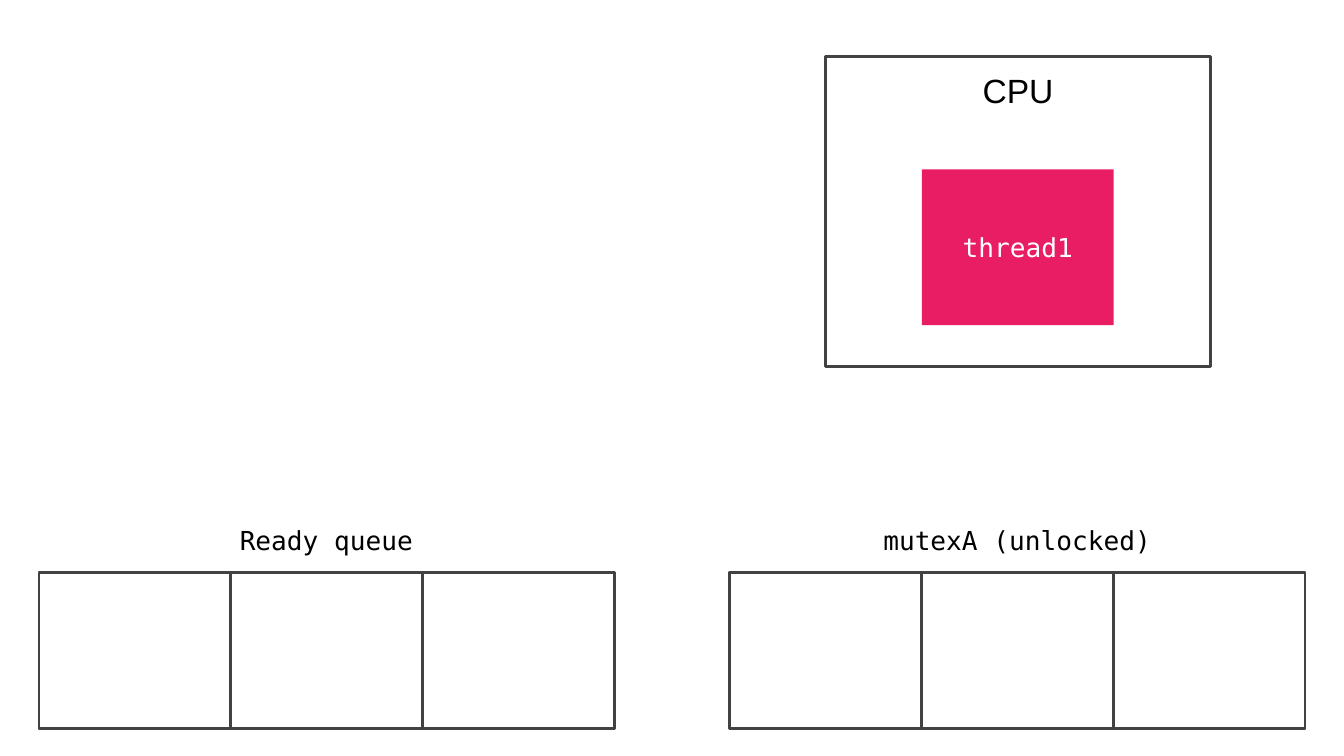
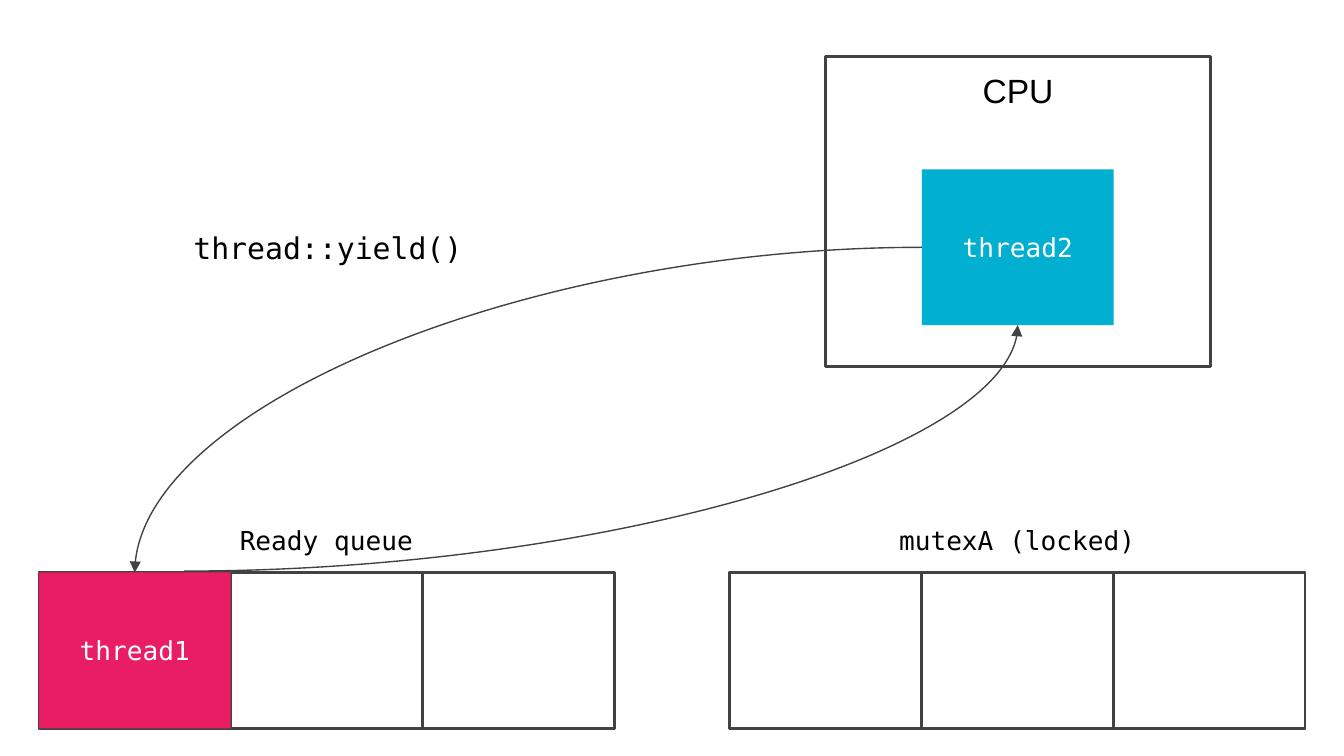
from dataclasses import dataclass
from typing import Any, Optional

from lxml import etree
from pptx import Presentation
from pptx import util as u
from pptx.dml import color
from pptx.enum import shapes, text
from pptx.oxml import ns

COLORS = {
    "outline": "424242",
    "ink": "000000",
    "paper": "FFFFFF",
    "pink": "E91D63",
    "cyan": "01AFD1",
}
SANS = "Arial"
MONO = "DejaVu Sans Mono"

SLIDE_WIDTH = 10
SLIDE_HEIGHT = SLIDE_WIDTH * 9 / 16
CELL_COUNT = 3
QUEUE_WIDTH = 4.28
CELL_WIDTH = QUEUE_WIDTH / CELL_COUNT
CELL_HEIGHT = 1.16
QUEUE_TOP = 4.26
LABEL_HEIGHT = 0.46
READY_LEFT = 0.29
MUTEX_LEFT = 5.43
CPU_SLOT_LEFT = 6.86
CPU_SLOT_TOP = 1.26


@dataclass(frozen=True)
class Box:
    left: float
    top: float
    width: float
    height: float

    def lengths(self) -> tuple[u.Length, ...]:
        return tuple(u.Inches(v) for v in (self.left, self.top, self.width, self.height))


@dataclass(frozen=True)
class Style:
    size: int
    font: str
    ink: str


@dataclass(frozen=True)
class Thread:
    label: str
    fill: str


@dataclass(frozen=True)
class Queue:
    label: str
    left: float
    label_width: float


@dataclass(frozen=True)
class Point:
    x: float
    y: float


CPU_STYLE = Style(18, SANS, "ink")
LABEL_STYLE = Style(14, MONO, "ink")
CALL_STYLE = Style(16, MONO, "ink")
THREAD_STYLE = Style(14, MONO, "paper")

CPU = Box(6.14, 0.42, 2.87, 2.31)
THREAD1 = Thread("thread1", "pink")
THREAD2 = Thread("thread2", "cyan")
READY_QUEUE = Queue("Ready queue", READY_LEFT, 1.74)


def rgb(name: str) -> color.RGBColor:
    return color.RGBColor.from_string(COLORS[name])


def write(shape: Any, wording: str, style: Style,
          anchor: text.MSO_ANCHOR = text.MSO_ANCHOR.TOP) -> None:
    frame = shape.text_frame
    frame.word_wrap = True
    frame.vertical_anchor = anchor
    frame.margin_left = frame.margin_right = u.Inches(0.1)
    frame.margin_top = frame.margin_bottom = u.Inches(0.1)
    paragraph = frame.paragraphs[0]
    paragraph.alignment = text.PP_ALIGN.CENTER
    run = paragraph.add_run()
    run.text = wording
    run.font.size = u.Pt(style.size)
    run.font.name = style.font
    run.font.color.rgb = rgb(style.ink)


def draw_rectangle(parent: Any, box: Box, fill: Optional[str] = None) -> Any:
    rectangle = parent.add_shape(shapes.MSO_SHAPE.RECTANGLE, *box.lengths())
    rectangle.shadow.inherit = False
    if fill:
        rectangle.fill.solid()
        rectangle.fill.fore_color.rgb = rgb(fill)
        rectangle.line.fill.background()
    else:
        rectangle.fill.background()
        rectangle.line.color.rgb = rgb("outline")
        rectangle.line.width = u.Pt(1.5)
    return rectangle


def draw_label(parent: Any, box: Box, wording: str, style: Style) -> None:
    write(parent.add_textbox(*box.lengths()), wording, style)


def draw_thread(parent: Any, thread: Thread, left: float, top: float) -> None:
    tile = draw_rectangle(parent, Box(left, top, CELL_WIDTH, CELL_HEIGHT), thread.fill)
    write(tile, thread.label, THREAD_STYLE, text.MSO_ANCHOR.MIDDLE)


def draw_queue(parent: Any, queue: Queue) -> None:
    group = parent.add_group_shape().shapes
    draw_rectangle(group, Box(queue.left, QUEUE_TOP, QUEUE_WIDTH, CELL_HEIGHT))
    label_left = queue.left + (QUEUE_WIDTH - queue.label_width) / 2
    draw_label(group, Box(label_left, QUEUE_TOP - LABEL_HEIGHT, queue.label_width, LABEL_HEIGHT),
               queue.label, LABEL_STYLE)
    for index in range(CELL_COUNT):
        cell_left = queue.left + index * CELL_WIDTH
        draw_rectangle(group, Box(cell_left, QUEUE_TOP, CELL_WIDTH, CELL_HEIGHT))


def draw_curved_arrow(parent: Any, start: Point, end: Point) -> None:
    arrow = parent.add_connector(shapes.MSO_CONNECTOR.CURVE, u.Inches(start.x), u.Inches(start.y),
                                 u.Inches(end.x), u.Inches(end.y))
    arrow.line.color.rgb = rgb("outline")
    arrow.line.width = u.Pt(0.75)
    properties = arrow.element.spPr
    properties.find(ns.qn("a:prstGeom")).set("prst", "curvedConnector2")
    etree.SubElement(properties.find(ns.qn("a:ln")), ns.qn("a:tailEnd"), type="triangle")
    etree.SubElement(properties, ns.qn("a:effectLst"))


def add_state(deck: Any, running: Thread, mutex_label: str) -> Any:
    canvas = deck.slides.add_slide(deck.slide_layouts[6]).shapes
    write(draw_rectangle(canvas, CPU), "CPU", CPU_STYLE)
    draw_thread(canvas, running, CPU_SLOT_LEFT, CPU_SLOT_TOP)
    draw_queue(canvas, READY_QUEUE)
    draw_queue(canvas, Queue(mutex_label, MUTEX_LEFT, 2.23))
    return canvas


def add_yield(canvas: Any) -> None:
    draw_label(canvas, Box(1.08, 1.61, 2.72, LABEL_HEIGHT), "thread::yield()", CALL_STYLE)
    draw_thread(canvas, THREAD1, READY_LEFT, QUEUE_TOP)
    draw_curved_arrow(canvas, Point(CPU_SLOT_LEFT, CPU_SLOT_TOP + CELL_HEIGHT / 2),
                      Point(READY_LEFT + CELL_WIDTH / 2, QUEUE_TOP))
    draw_curved_arrow(canvas, Point(1.37, 4.25),
                      Point(CPU_SLOT_LEFT + CELL_WIDTH / 2, CPU_SLOT_TOP + CELL_HEIGHT))


def main() -> None:
    deck = Presentation()
    deck.slide_width = u.Inches(SLIDE_WIDTH)
    deck.slide_height = u.Inches(SLIDE_HEIGHT)
    add_state(deck, THREAD1, "mutexA (unlocked)")
    add_yield(add_state(deck, THREAD2, "mutexA (locked)"))
    deck.save("out.pptx")


if __name__ == "__main__":
    main()
